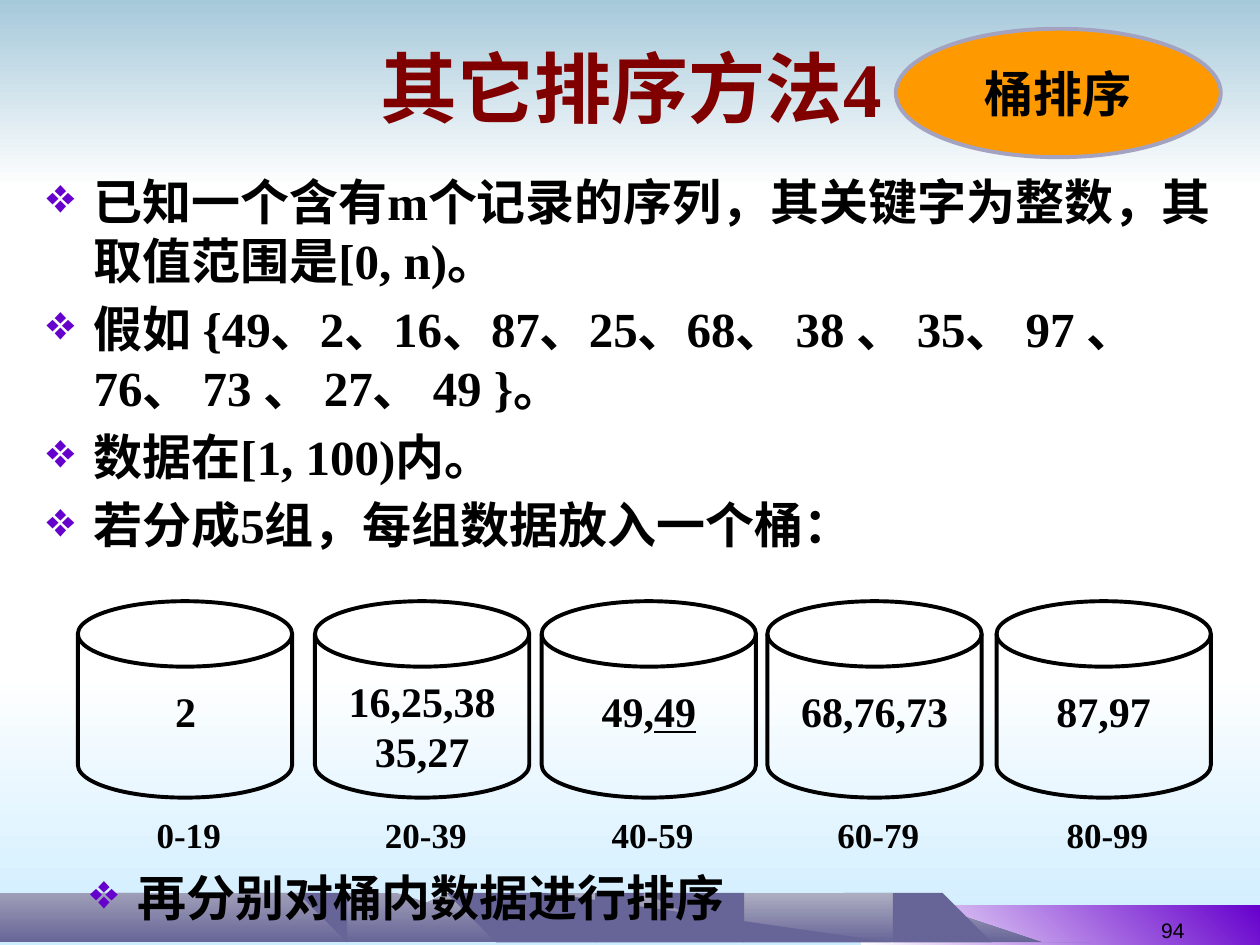
from lxml.etree import SubElement
from pptx import Presentation
from pptx.dml.color import RGBColor
from pptx.enum.shapes import MSO_SHAPE
from pptx.enum.text import MSO_ANCHOR, PP_ALIGN
from pptx.oxml.ns import qn
from pptx.util import Cm, Pt

BLACK = RGBColor(0, 0, 0)
WHITE = RGBColor(255, 255, 255)
MAROON = RGBColor(0x80, 0, 0)
ORANGE = RGBColor(0xFF, 0x99, 0)
PURPLE = RGBColor(0x66, 0, 0xCC)
SKY = RGBColor(0xA6, 0xC9, 0xDA)
ICE = RGBColor(0xCC, 0xEC, 0xFF)
RIM = RGBColor(0xA3, 0xA2, 0xC1)
SLATE = RGBColor(0x67, 0x65, 0x97)
MIST = RGBColor(0xAE, 0xAE, 0xC2)
HAZE = RGBColor(0x9F, 0x9E, 0xB8)

deck = Presentation()
deck.slide_width, deck.slide_height = Cm(25.4), Cm(19.05)
slide = deck.slides.add_slide(deck.slide_layouts[6])
shapes = slide.shapes


def paint(shape, start, end=None, angle=270):
    """Fill without outline: plain, or a gradient from start to end."""
    shape.shadow.inherit = False
    shape.line.fill.background()
    if end is None:
        shape.fill.solid()
        shape.fill.fore_color.rgb = start
        return
    shape.fill.gradient()
    shape.fill.gradient_angle = angle
    for stop, tone in zip(shape.fill.gradient_stops, (start, end)):
        stop.color.rgb = tone


def write(shape, lines, size, color=BLACK, align=PP_ALIGN.CENTER, wrap=True,
          anchor=MSO_ANCHOR.TOP, name="Times New Roman", bold=True, bullet=False):
    """Set one paragraph per line; text after an underscore is underlined."""
    frame = shape.text_frame
    frame.word_wrap, frame.vertical_anchor = wrap, anchor
    font = {"name": name, "size": Pt(size), "bold": bold}
    for i, line in enumerate(lines):
        para = frame.add_paragraph() if i else frame.paragraphs[0]
        para.alignment = align
        for j, part in enumerate(line.split("_")):
            run = para.add_run()
            run.text = part
            for key, value in font.items():
                setattr(run.font, key, value)
            run.font.color.rgb = color
            if j:
                run.font.underline = True
        if bullet:
            para.space_before = Pt(size * 0.2)
            props = para._p.get_or_add_pPr()
            props.set("marL", str(Cm(0.95)))
            props.set("indent", str(-Cm(0.95)))
            tint = SubElement(props, qn("a:buClr"))
            SubElement(tint, qn("a:srgbClr")).set("val", str(PURPLE))
            SubElement(props, qn("a:buChar")).set("char", "❖")


# Backdrop panels
for box, start, end, angle in [
    ((0, 13.54, 25.4, 5.51), WHITE, ICE, 270),
    ((0, 0, 25.4, 3.81), SKY, WHITE, 270),
    ((17.35, 18.26, 8.05, 0.79), WHITE, PURPLE, 45),
]:
    panel = shapes.add_shape(MSO_SHAPE.RECTANGLE, *map(Cm, box))
    paint(panel, start, end, angle)

# Mountains in cm: each ridge, then the shaded slopes on it
hills = [
    ([MIST, SLATE], [
        (6.55, 19.05), (9, 18.4), (11.81, 17.93), (14.5, 18.3), (17.4, 17.93),
        (18.4, 18.4), (20.83, 19.05)]),
    ([SLATE], [
        (17.4, 17.93), (17.7, 18.5), (17.6, 18.87), (18.3, 18.67), (19.9, 19.05),
        (21.6, 19.05), (20.2, 18.75), (18.6, 18.5)]),
    ([SLATE], [(11.96, 17.93), (12, 18.3), (11.81, 18.8), (12.6, 18.1)]),
    ([SLATE], [(13.4, 18.14), (13.4, 18.3), (14.7, 18.75), (15, 18.3)]),
    ([HAZE, SLATE], [
        (0, 19.05), (0, 18.31), (1.7, 17.96), (3.8, 18.08), (5.2, 17.93),
        (6.6, 18.2), (8.4, 17.98), (11, 18.6), (17.5, 19.05)]),
    ([SLATE], [(5.3, 17.93), (5.9, 18.3), (6.8, 18.54), (6.9, 18.2)]),
    ([SLATE], [
        (8.7, 17.98), (8.56, 18.26), (9.5, 18.6), (12, 18.77), (17.5, 19.05), (11, 18.4)]),
    ([SLATE], [(1.75, 17.96), (2.5, 18.4), (2.8, 18.05)]),
]
for tones, points in hills:
    pen = shapes.build_freeform(*points[0], scale=Cm(1))
    pen.add_line_segments(points[1:], close=True)
    paint(pen.convert_to_shape(), *tones)

# Title, bullet list and page number
title = shapes.add_textbox(Cm(1.3), Cm(0.33), Cm(22.86), Cm(2.84))
write(title, ["其它排序方法4"], 44, MAROON, anchor=MSO_ANCHOR.MIDDLE)

body = shapes.add_textbox(Cm(0.69), Cm(3.33), Cm(24), Cm(8.18))
write(body, [
    "已知一个含有m个记录的序列，其关键字为整数，其取值范围是[0, n)。",
    "假如 {49、2、16、87、25、68、 38 、 35、 97 、 76、 73 、 27、 49 }。",
    "数据在[1, 100)内。",
    "若分成5组，每组数据放入一个桶：",
], 28, align=PP_ALIGN.LEFT, bullet=True)

page = shapes.add_textbox(Cm(18.21), Cm(17.86), Cm(5.92), Cm(1.27))
write(page, ["94"], 12, align=PP_ALIGN.RIGHT, anchor=MSO_ANCHOR.BOTTOM,
      name="Arial", bold=False)

# Topic badge
badge = shapes.add_shape(MSO_SHAPE.OVAL, Cm(18.06), Cm(0.58), Cm(6.55), Cm(2.59))
paint(badge, ORANGE)
badge.line.color.rgb, badge.line.width = RIM, Pt(2.25)
write(badge, ["桶排序"], 28, wrap=False, anchor=MSO_ANCHOR.MIDDLE)

# Buckets with their contents, and the range of keys below each
buckets = [
    (1.57, ["2"]),
    (6.35, ["16,25,38", "35,27"]),
    (10.92, ["49,_49"]),
    (15.47, ["68,76,73"]),
    (20.09, ["87,97"]),
]
wide = 4.32
for i, (left, lines) in enumerate(buckets):
    disk = shapes.add_shape(MSO_SHAPE.FLOWCHART_MAGNETIC_DISK,
                            Cm(left), Cm(12.12), Cm(wide), Cm(3.96))
    disk.shadow.inherit = False
    disk.fill.background()
    disk.line.color.rgb, disk.line.width = BLACK, Pt(2.25)

    label = shapes.add_textbox(Cm(left + 0.85), Cm(16.28), Cm(2.77), Cm(1.12))
    write(label, [f"{20 * i}-{20 * i + 19}"], 20)

    top, high = (13.49, 2.31) if len(lines) > 1 else (13.69, 1.27)
    span = 0.5 + 0.4 * len(lines[0].replace("_", ""))
    data = shapes.add_textbox(Cm(left + (wide - span) / 2), Cm(top), Cm(span), Cm(high))
    write(data, lines, 24, wrap=False)

# Closing step
step = shapes.add_textbox(Cm(1.57), Cm(17.37), Cm(13.44), Cm(1.45))
write(step, ["再分别对桶内数据进行排序"], 28, align=PP_ALIGN.LEFT, wrap=False, bullet=True)

deck.save("out.pptx")
